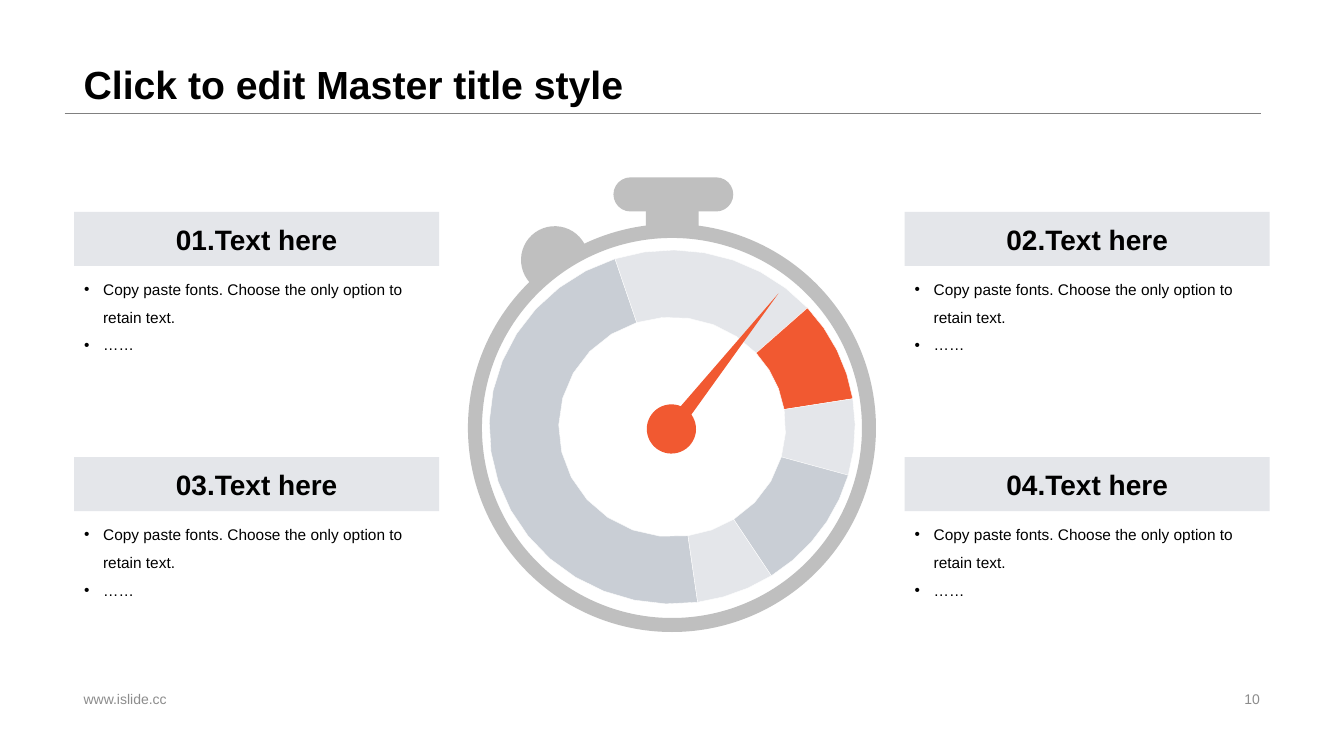
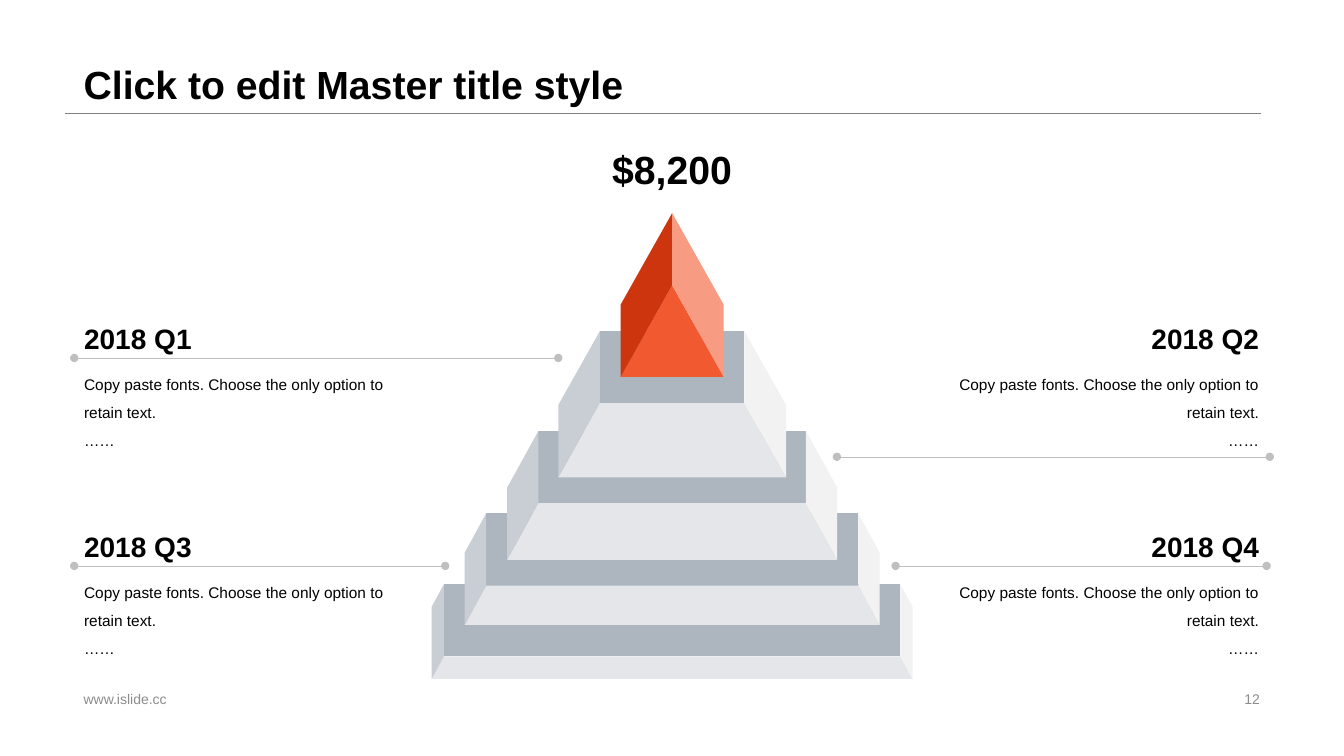
from dataclasses import dataclass
from math import ceil, cos, radians, sin

from lxml import etree
from pptx import Presentation
from pptx.dml.color import RGBColor
from pptx.enum.shapes import MSO_CONNECTOR, MSO_SHAPE
from pptx.enum.text import MSO_ANCHOR, PP_ALIGN
from pptx.oxml.ns import qn
from pptx.util import Cm, Pt

# Colours
BLACK = RGBColor(0x00, 0x00, 0x00)
WHITE = RGBColor(0xFF, 0xFF, 0xFF)
RULE_GREY = RGBColor(0x80, 0x80, 0x80)
FOOTER_GREY = RGBColor(0x8C, 0x8C, 0x8C)
SILVER = RGBColor(0xBF, 0xBF, 0xBF)
PALE = RGBColor(0xE4, 0xE6, 0xEA)
MIST = RGBColor(0xF2, 0xF2, 0xF2)
STEEL = RGBColor(0xC9, 0xCE, 0xD5)
SLATE = RGBColor(0xAD, 0xB5, 0xBF)
ORANGE = RGBColor(0xF1, 0x59, 0x31)
DARK_ORANGE = RGBColor(0xCC, 0x35, 0x0E)
LIGHT_ORANGE = RGBColor(0xF7, 0x9B, 0x83)

# Enum members
STRAIGHT = MSO_CONNECTOR.STRAIGHT
RECTANGLE, ROUNDED = MSO_SHAPE.RECTANGLE, MSO_SHAPE.ROUNDED_RECTANGLE
ELLIPSE, CHORD, TRIANGLE = MSO_SHAPE.OVAL, MSO_SHAPE.CHORD, MSO_SHAPE.ISOSCELES_TRIANGLE
LEFT, CENTER, RIGHT = PP_ALIGN.LEFT, PP_ALIGN.CENTER, PP_ALIGN.RIGHT
TOP, MIDDLE, BOTTOM = MSO_ANCHOR.TOP, MSO_ANCHOR.MIDDLE, MSO_ANCHOR.BOTTOM

# Text formats
TITLE = {"name": "Arial", "size": Pt(28), "bold": True}
HEADING = {"name": "Arial", "size": Pt(20), "bold": True}
BODY = {"name": "Arial", "size": Pt(11)}
FOOTER = {"name": "Arial", "size": Pt(10)}

BODY_LINES = ["Copy paste fonts. Choose the only option to retain text.", "……"]
CENTER_X = 16.94
LEFT_X = 1.87

Box = tuple[float, float, float, float]
Point = tuple[float, float]


@dataclass
class Sector:
    start: float
    end: float
    color: RGBColor


@dataclass
class Part:
    kind: MSO_SHAPE
    box: Box
    color: RGBColor
    rotation: float = 0
    adjustments: tuple[float, ...] = ()


@dataclass
class Tier:
    back_half: float
    front_half: float
    top: float
    bottom: float


@dataclass
class Note:
    heading: str
    left: float
    top: float
    align: PP_ALIGN
    line_start: Point
    line_end: float


# Angles run clockwise from twelve o'clock
SECTORS = [
    Sector(172, 341.8, STEEL),
    Sector(-18.2, 47.7, PALE),
    Sector(47.7, 80.8, ORANGE),
    Sector(80.8, 105.8, PALE),
    Sector(105.8, 147.2, STEEL),
    Sector(147.2, 172, PALE),
]
WATCH_PARTS = [
    Part(CHORD, (13.13, 5.7, 1.7, 1.7), SILVER, 84.6, (27, 150.65)),
    Part(RECTANGLE, (16.28, 5.26, 1.33, 0.61), SILVER),
    Part(ROUNDED, (15.46, 4.47, 3.02, 0.86), SILVER, 0, (0.5,)),
]
NEEDLE_PARTS = [
    Part(ELLIPSE, (16.3, 10.19, 1.24, 1.24), ORANGE, 38.3),
    Part(TRIANGLE, (18.01, 6.91, 0.41, 4.52), ORANGE, 38.3),
]
TIERS = [
    Tier(5.75, 6.06, 14.72, 17.11),
    Tier(4.69, 5.23, 12.94, 15.75),
    Tier(3.37, 4.16, 10.86, 14.11),
    Tier(1.82, 2.87, 8.34, 12.03),
]
NOTES = [
    Note("2018 Q1", LEFT_X, 7.87, LEFT, (LEFT_X, 9.02), 14.07),
    Note("2018 Q2", 23.41, 7.87, RIGHT, (21.09, 11.51), 32),
    Note("2018 Q3", LEFT_X, 13.11, LEFT, (LEFT_X, 14.26), 11.22),
    Note("2018 Q4", 23.41, 13.11, RIGHT, (22.57, 14.26), 31.92),
]


# Drawing helpers
def write(shape, lines: list[str], font: dict, color: RGBColor = BLACK, align: PP_ALIGN = LEFT,
          anchor: MSO_ANCHOR = TOP, spacing: float = 1.0, bullets: bool = False) -> None:
    frame = shape.text_frame
    frame.word_wrap = True
    frame.vertical_anchor = anchor
    for index, line in enumerate(lines):
        paragraph = frame.add_paragraph() if index else frame.paragraphs[0]
        paragraph.alignment = align
        paragraph.line_spacing = spacing
        if bullets:
            properties = paragraph._p.get_or_add_pPr()
            properties.set("marL", str(Cm(0.48)))
            properties.set("indent", str(-Cm(0.48)))
            etree.SubElement(properties, qn("a:buFont"), typeface="Arial")
            etree.SubElement(properties, qn("a:buChar"), char="•")
        run = paragraph.add_run()
        run.text = line
        for name, value in font.items():
            setattr(run.font, name, value)
        run.font.color.rgb = color


def add_text(slide, box: Box, lines: list[str], font: dict, **options) -> None:
    write(slide.shapes.add_textbox(*map(Cm, box)), lines, font, **options)


def add_line(slide, start: Point, end: Point, color: RGBColor, dots: bool = False) -> None:
    connector = slide.shapes.add_connector(STRAIGHT, *map(Cm, start + end))
    connector.line.color.rgb = color
    connector.line.width = Pt(0.25)
    if dots:
        outline = connector.line._get_or_add_ln()
        for tag in ("a:headEnd", "a:tailEnd"):
            etree.SubElement(outline, qn(tag), type="oval")
    etree.SubElement(connector._element.spPr, qn("a:effectLst"))


def paint(shape, color: RGBColor) -> None:
    shape.shadow.inherit = False
    shape.fill.solid()
    shape.fill.fore_color.rgb = color
    shape.line.fill.background()


def add_part(slide, part: Part):
    shape = slide.shapes.add_shape(part.kind, *map(Cm, part.box))
    paint(shape, part.color)
    shape.rotation = part.rotation
    for index, value in enumerate(part.adjustments):
        shape.adjustments[index] = value
    return shape


def add_polygon(slide, points: list[Point], color: RGBColor):
    corners = [(Cm(x), Cm(y)) for x, y in points]
    builder = slide.shapes.build_freeform(*corners[0], scale=1.0)
    builder.add_line_segments(corners[1:], close=True)
    shape = builder.convert_to_shape()
    paint(shape, color)
    return shape


def add_slide(presentation, number: str):
    """Add a blank slide with the shared title, rule and footer."""
    slide = presentation.slides.add_slide(presentation.slide_layouts[6])
    add_line(slide, (1.63, 2.84), (31.78, 2.84), RULE_GREY)
    add_text(slide, (1.86, 0, 30.15, 2.84), ["Click to edit Master title style"], TITLE,
             anchor=BOTTOM, spacing=0.9)
    add_text(slide, (1.86, 17.32, 11.51, 0.58), ["www.islide.cc"], FOOTER,
             color=FOOTER_GREY, anchor=MIDDLE)
    add_text(slide, (23.92, 17.32, 8.08, 0.58), [number], FOOTER,
             color=FOOTER_GREY, align=RIGHT, anchor=MIDDLE)
    return slide


# Stopwatch slide
def arc(sector: Sector, radius_x: float, radius_y: float, largest_step: float) -> list[Point]:
    sweep = sector.end - sector.start
    steps = ceil(sweep / largest_step)
    angles = [radians(sector.start + sweep * step / steps) for step in range(steps + 1)]
    return [(CENTER_X + radius_x * sin(angle), 10.76 - radius_y * cos(angle))
            for angle in angles]


def add_sector(slide, sector: Sector) -> None:
    outer = arc(sector, 4.61, 4.46, 10)
    inner = arc(sector, 2.86, 2.77, 15)
    shape = add_polygon(slide, outer + inner[::-1], sector.color)
    shape.line.color.rgb = WHITE
    shape.line.width = Pt(0.25)


def build_stopwatch(presentation) -> None:
    slide = add_slide(presentation, "10")
    for part in WATCH_PARTS:
        add_part(slide, part)
    rim = add_part(slide, Part(ELLIPSE, (11.97, 5.82, 9.93, 9.93), WHITE))
    rim.fill.background()
    rim.line.color.rgb = SILVER
    rim.line.width = Pt(10)
    for sector in SECTORS:
        add_sector(slide, sector)
    for part in NEEDLE_PARTS:
        add_part(slide, part)

    # Four captions, row by row
    width, band_height = 9.2, 1.36
    for index in range(4):
        left = (LEFT_X, 22.8)[index % 2]
        top = (5.34, 11.52)[index // 2]
        add_text(slide, (left, top + band_height, width, 2.62), BODY_LINES, BODY,
                 spacing=1.5, bullets=True)
        band = add_part(slide, Part(RECTANGLE, (left, top, width, band_height), PALE))
        write(band, [f"{index + 1:02}.Text here"], HEADING, align=CENTER, anchor=MIDDLE)


# Pyramid slide
def add_tier(slide, tier: Tier, depth: float) -> None:
    edge, shoulder = tier.top + depth, tier.bottom - depth
    back, front = tier.back_half, tier.front_half
    add_polygon(slide, [(CENTER_X - back, tier.top), (CENTER_X + back, tier.top),
                        (CENTER_X + back, edge), (CENTER_X - back, edge)], SLATE)
    add_polygon(slide, [(CENTER_X - back, edge), (CENTER_X + back, edge),
                        (CENTER_X + front, tier.bottom), (CENTER_X - front, tier.bottom)], PALE)
    for side, color in ((-1, STEEL), (1, MIST)):
        inner, outer = CENTER_X + side * back, CENTER_X + side * front
        add_polygon(slide, [(outer, shoulder), (inner, tier.top),
                            (inner, edge), (outer, tier.bottom)], color)


def add_tip(slide, depth: float) -> None:
    half, apex, base = 1.3, 5.37, 9.5
    add_polygon(slide, [(CENTER_X, apex + depth), (CENTER_X + half, base),
                        (CENTER_X - half, base)], ORANGE)
    for side, color in ((-1, DARK_ORANGE), (1, LIGHT_ORANGE)):
        outer = CENTER_X + side * half
        add_polygon(slide, [(CENTER_X, apex), (outer, base - depth),
                            (outer, base), (CENTER_X, apex + depth)], color)


def build_pyramid(presentation) -> None:
    slide = add_slide(presentation, "12")
    depth = 1.82
    for tier in TIERS:
        add_tier(slide, tier, depth)
    add_tip(slide, depth)
    add_text(slide, (13.1, 3.42, 7.67, 1.68), ["$8,200"], TITLE, align=CENTER, anchor=MIDDLE)

    # Quarter notes
    width, heading_height, body_offset = 8.57, 1.21, 1.23
    for note in NOTES:
        add_text(slide, (note.left, note.top, width, heading_height), [note.heading], HEADING,
                 align=note.align, anchor=BOTTOM)
        add_text(slide, (note.left, note.top + body_offset, width, 2.41), BODY_LINES, BODY,
                 align=note.align, spacing=1.5)
        add_line(slide, note.line_start, (note.line_end, note.line_start[1]), SILVER, dots=True)


def main() -> None:
    presentation = Presentation()
    presentation.slide_width = Cm(33.87)
    presentation.slide_height = Cm(19.05)
    build_stopwatch(presentation)
    build_pyramid(presentation)
    presentation.save("out.pptx")


if __name__ == "__main__":
    main()
